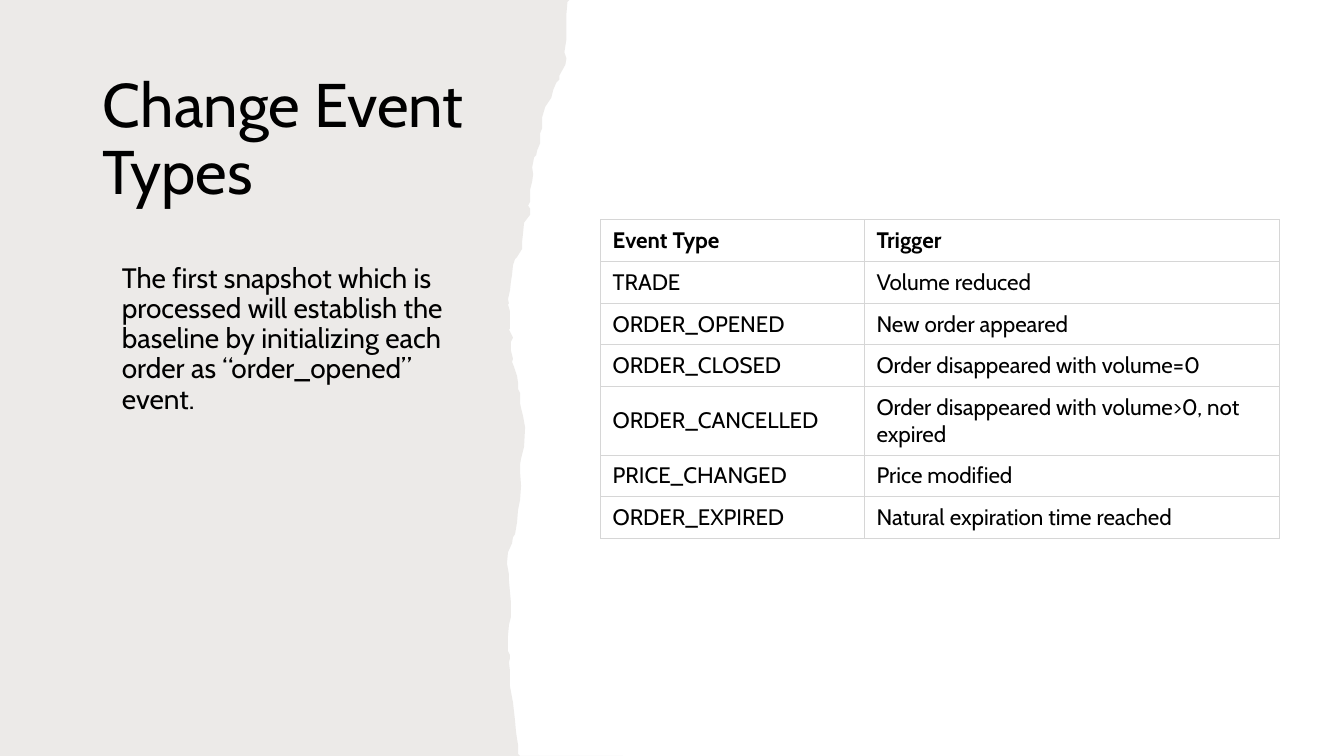
from dataclasses import dataclass

from lxml import etree
from pptx import Presentation
from pptx.dml.color import RGBColor
from pptx.enum.text import MSO_ANCHOR, MSO_AUTO_SIZE, PP_ALIGN
from pptx.oxml.ns import qn
from pptx.util import Cm, Pt

MIDDLE, TOP = MSO_ANCHOR.MIDDLE, MSO_ANCHOR.TOP
LEFT = PP_ALIGN.LEFT
NO_FIT = MSO_AUTO_SIZE.NONE
TITLE_ONLY = 5

FONT = "Cabin"
BLACK, WHITE, BORDER, PAPER = "000000", "FFFFFF", "D6D6D6", "82766A"
PAPER_ALPHA = 15  # percent
HUNDREDTH_INCH = Cm(0.0254)

# Torn right edge of the paper, top to bottom, in hundredths of an inch
TORN_EDGE = [
    (565, 0), (563, 2), (562, 14), (562, 20), (562, 39), (560, 52), (562, 58),
    (561, 64), (560, 66), (555, 75), (555, 79), (552, 82), (549, 89), (547, 97),
    (541, 106), (538, 116), (538, 127), (536, 132), (536, 142), (533, 149),
    (532, 154), (530, 156), (528, 166), (529, 173), (528, 180), (526, 188),
    (526, 200), (524, 204), (526, 207), (526, 213), (520, 221), (519, 231),
    (518, 240), (518, 247), (513, 255), (511, 257), (509, 263), (508, 273),
    (507, 279), (506, 288), (504, 297), (505, 301), (504, 302), (506, 309),
    (506, 326), (505, 327), (509, 335), (507, 339), (507, 348), (509, 356),
    (508, 359), (510, 364), (513, 373), (514, 380), (514, 386), (516, 390),
    (516, 400), (517, 405), (519, 413), (521, 424), (520, 443), (517, 455),
    (516, 461), (516, 468), (517, 482), (516, 496), (514, 506), (513, 518),
    (511, 530), (509, 533), (508, 539), (504, 548), (503, 559), (505, 570),
    (505, 576), (507, 598), (507, 612), (505, 620), (504, 631), (504, 646),
    (506, 650), (506, 653), (505, 657), (506, 666), (506, 681), (509, 697),
    (511, 715), (512, 726), (513, 733), (514, 739), (514, 746), (514, 748),
    (516, 750),
]


@dataclass
class Event:
    name: str
    trigger: str
    height: float = 1.05  # row height in cm
    bold: bool = False


EVENTS = [
    Event("Event Type", "Trigger", bold=True),
    Event("TRADE", "Volume reduced"),
    Event("ORDER_OPENED", "New order appeared"),
    Event("ORDER_CLOSED", "Order disappeared with volume=0"),
    Event("ORDER_CANCELLED", "Order disappeared with volume>0, not expired", height=1.73),
    Event("PRICE_CHANGED", "Price modified"),
    Event("ORDER_EXPIRED", "Natural expiration time reached"),
]
COLUMN_WIDTHS = [6.65, 10.46]


def rgb(value: str) -> RGBColor:
    return RGBColor.from_string(value)


def write(frame, text: str, *, size: float, bold: bool = False, anchor=MIDDLE,
          line_spacing: float = 1.0, space_before: float = 0) -> None:
    frame.word_wrap = True
    frame.vertical_anchor = anchor
    para = frame.paragraphs[0]
    para.alignment = LEFT
    para.line_spacing = line_spacing
    para.space_before = Pt(space_before)
    span = para.add_run()
    span.text = text
    span.font.name = FONT
    span.font.size = Pt(size)
    span.font.bold = bold
    span.font.color.rgb = rgb(BLACK)


def place(box, left: float, top: float, width: float, height: float) -> None:
    box.left, box.top = Cm(left), Cm(top)
    box.width, box.height = Cm(width), Cm(height)


def add_paper(page):
    builder = page.shapes.build_freeform(0, 0, scale=HUNDREDTH_INCH)
    builder.add_line_segments(TORN_EDGE + [(618, 750), (0, 750)], close=True)
    paper = builder.convert_to_shape()
    paper.shadow.inherit = False
    paper.line.fill.background()
    paper.fill.solid()
    paper.fill.fore_color.rgb = rgb(PAPER)
    color = paper.element.spPr.find(f"{qn('a:solidFill')}/{qn('a:srgbClr')}")
    etree.SubElement(color, qn("a:alpha"), val=str(PAPER_ALPHA * 1000))
    return paper


def add_borders(cell) -> None:
    properties = cell._tc.get_or_add_tcPr()
    for side in ("lnL", "lnR", "lnT", "lnB"):
        line = etree.SubElement(properties, qn(f"a:{side}"), w=str(Pt(0.75)))
        fill = etree.SubElement(line, qn("a:solidFill"))
        etree.SubElement(fill, qn("a:srgbClr"), val=BORDER)


def add_event_table(page) -> None:
    height = sum(event.height for event in EVENTS)
    table = page.shapes.add_table(
        len(EVENTS), len(COLUMN_WIDTHS), Cm(15.14), Cm(5.54),
        Cm(sum(COLUMN_WIDTHS)), Cm(height)).table
    table.horz_banding = False
    table.first_row = False
    for column, width in zip(table.columns, COLUMN_WIDTHS):
        column.width = Cm(width)
    for row, event in zip(table.rows, EVENTS):
        row.height = Cm(event.height)
        for cell, text in zip(row.cells, (event.name, event.trigger)):
            add_borders(cell)
            cell.fill.solid()
            cell.fill.fore_color.rgb = rgb(WHITE)
            cell.margin_left = cell.margin_right = Cm(0.3)
            cell.margin_top = cell.margin_bottom = Cm(0.13)
            cell.vertical_anchor = MIDDLE
            write(cell.text_frame, text, size=16, bold=event.bold)


def main() -> None:
    deck = Presentation()
    deck.slide_width, deck.slide_height = Cm(33.87), Cm(19.05)
    page = deck.slides.add_slide(deck.slide_layouts[TITLE_ONLY])

    # Title, with the torn paper behind it
    title = page.shapes.title
    place(title, 2.34, 1.7, 10.39, 3.71)
    title.text_frame.auto_size = NO_FIT
    write(title.text_frame, "Change Event Types", size=44, line_spacing=0.9)
    title.element.addprevious(add_paper(page).element)

    # Event types and their triggers
    add_event_table(page)

    # Note on the baseline
    note = page.shapes.add_textbox(0, 0, 0, 0)
    place(note, 2.82, 6.53, 9.53, 10.85)
    write(note.text_frame,
          "The first snapshot which is processed will establish the baseline "
          "by initializing each order as “order_opened” event.",
          size=20, anchor=TOP, line_spacing=0.9, space_before=10)

    deck.save("out.pptx")


if __name__ == "__main__":
    main()
